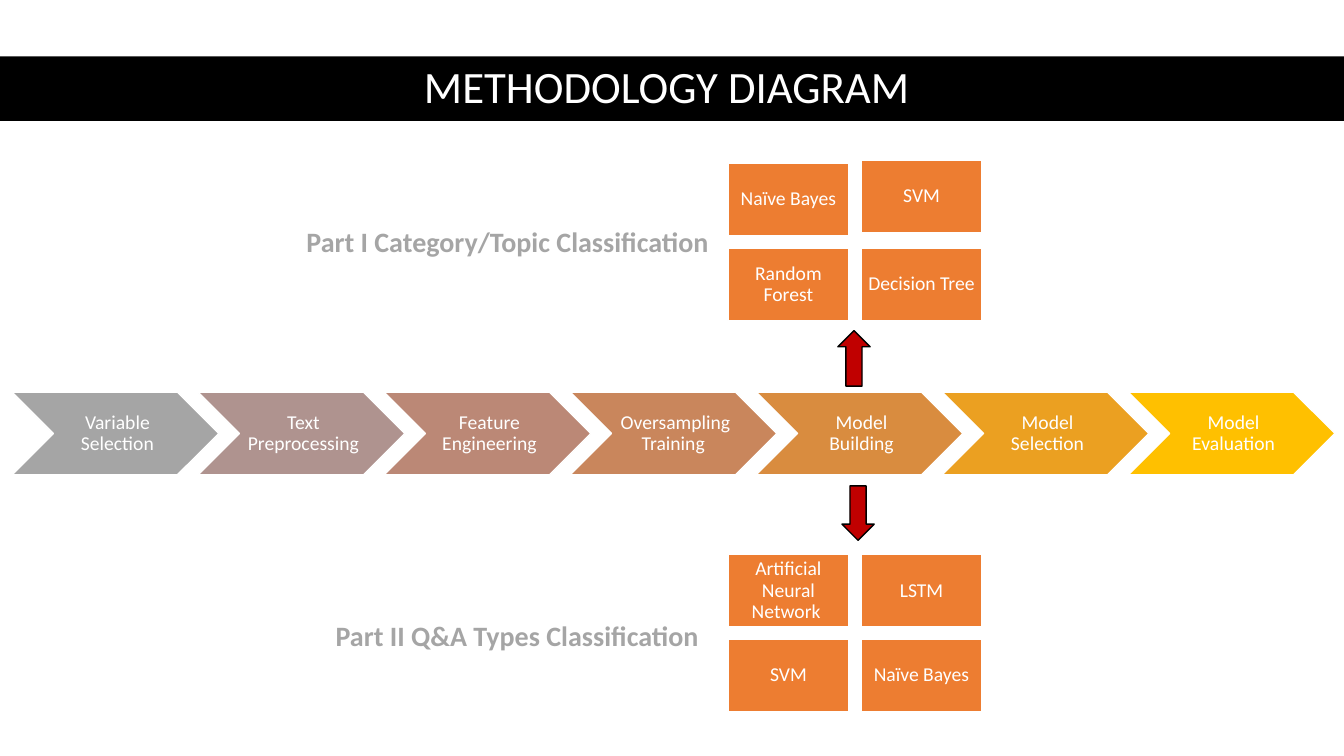
from pptx import Presentation
from pptx.dml.color import RGBColor
from pptx.enum.shapes import MSO_SHAPE
from pptx.enum.text import MSO_ANCHOR, MSO_AUTO_SIZE, PP_ALIGN
from pptx.util import Inches, Pt

CHEVRON, RECT = MSO_SHAPE.CHEVRON, MSO_SHAPE.RECTANGLE
UP, DOWN = MSO_SHAPE.UP_ARROW, MSO_SHAPE.DOWN_ARROW
MIDDLE, CENTER = MSO_ANCHOR.MIDDLE, PP_ALIGN.CENTER
NO_FIT, GROW = MSO_AUTO_SIZE.NONE, MSO_AUTO_SIZE.SHAPE_TO_FIT_TEXT
WHITE, BLACK, ORANGE, RED, GRAY = "FFFFFF", "000000", "ED7D31", "C00000", "A5A5A5"


def write(shape, text, size, color, bold=False, gap=1.0):
    frame = shape.text_frame
    frame.text = text
    para = frame.paragraphs[0]
    para.alignment, para.line_spacing = CENTER, gap
    font = para.runs[0].font
    font.name, font.size, font.bold = "Calibri", Pt(size), bold
    font.color.rgb = RGBColor.from_string(color)


def draw(kind, box, fill, line):
    shape = slide.shapes.add_shape(kind, *map(Inches, box))
    shape.shadow.inherit = False
    shape.fill.solid()
    shape.fill.fore_color.rgb = RGBColor.from_string(fill)
    shape.line.color.rgb = RGBColor.from_string(line)
    shape.line.width = Pt(1)
    return shape


deck = Presentation()
deck.slide_width, deck.slide_height = Inches(13.33), Inches(7.5)
slide = deck.slides.add_slide(deck.slide_layouts[5])

# Title band
title = slide.shapes.title
title.left, title.top = Inches(0), Inches(0.56)
title.width, title.height = Inches(13.33), Inches(0.64)
title.fill.solid()
title.fill.fore_color.rgb = RGBColor.from_string(BLACK)
title.text_frame.auto_size = NO_FIT
title.text_frame.vertical_anchor = MIDDLE
write(title, "METHODOLOGY DIAGRAM ", 32, WHITE, gap=0.9)

# Process steps
steps = [
    ("Variable Selection", GRAY),
    ("Text Preprocessing", "AF938F"),
    ("Feature Engineering", "BB8876"),
    ("Oversampling Training ", "C9865C"),
    ("Model Building", "D98C3F"),
    ("Model Selection", "EBA021"),
    ("Model Evaluation", "FFC000"),
]
for i, (name, color) in enumerate(steps):
    step = draw(CHEVRON, (0.12 + 1.845 * i, 3.89, 2.05, 0.82), color, WHITE)
    frame = step.text_frame
    frame.word_wrap, frame.vertical_anchor = True, MIDDLE
    frame.margin_left = Inches(0.06)
    frame.margin_right = frame.margin_top = frame.margin_bottom = Inches(0.02)
    write(step, name, 14, WHITE, gap=0.9)

# Models of each part, in rows of two
models = [
    ("Naïve Bayes", 1.62), ("SVM", 1.59),
    ("Random Forest", 2.46), ("Decision Tree", 2.46),
    ("Artificial Neural Network ", 5.5), ("LSTM", 5.5),
    ("SVM", 6.34), ("Naïve Bayes", 6.34),
]
for i, (name, top) in enumerate(models):
    model = draw(RECT, (7.22 + 1.32 * (i % 2), top, 1.2, 0.72), ORANGE, WHITE)
    frame = model.text_frame
    frame.word_wrap, frame.vertical_anchor = True, MIDDLE
    frame.margin_left = frame.margin_right = Inches(0.06)
    frame.margin_top = frame.margin_bottom = Inches(0.06)
    write(model, name, 14, WHITE, gap=0.9)

# Arrows from model building to both parts
draw(DOWN, (8.35, 4.82, 0.32, 0.54), RED, BLACK)
draw(UP, (8.31, 3.28, 0.32, 0.55), RED, BLACK)

# Part labels
parts = [
    ("Part I Category/Topic Classification", 2.92, 2.18, 4.23),
    ("Part II Q&A Types Classification", 3.21, 6.09, 3.84),
]
for text, left, top, width in parts:
    label = slide.shapes.add_textbox(*map(Inches, (left, top, width, 0.44)))
    label.text_frame.word_wrap = False
    label.text_frame.auto_size = GROW
    write(label, text, 20, GRAY, bold=True)

deck.save("out.pptx")
